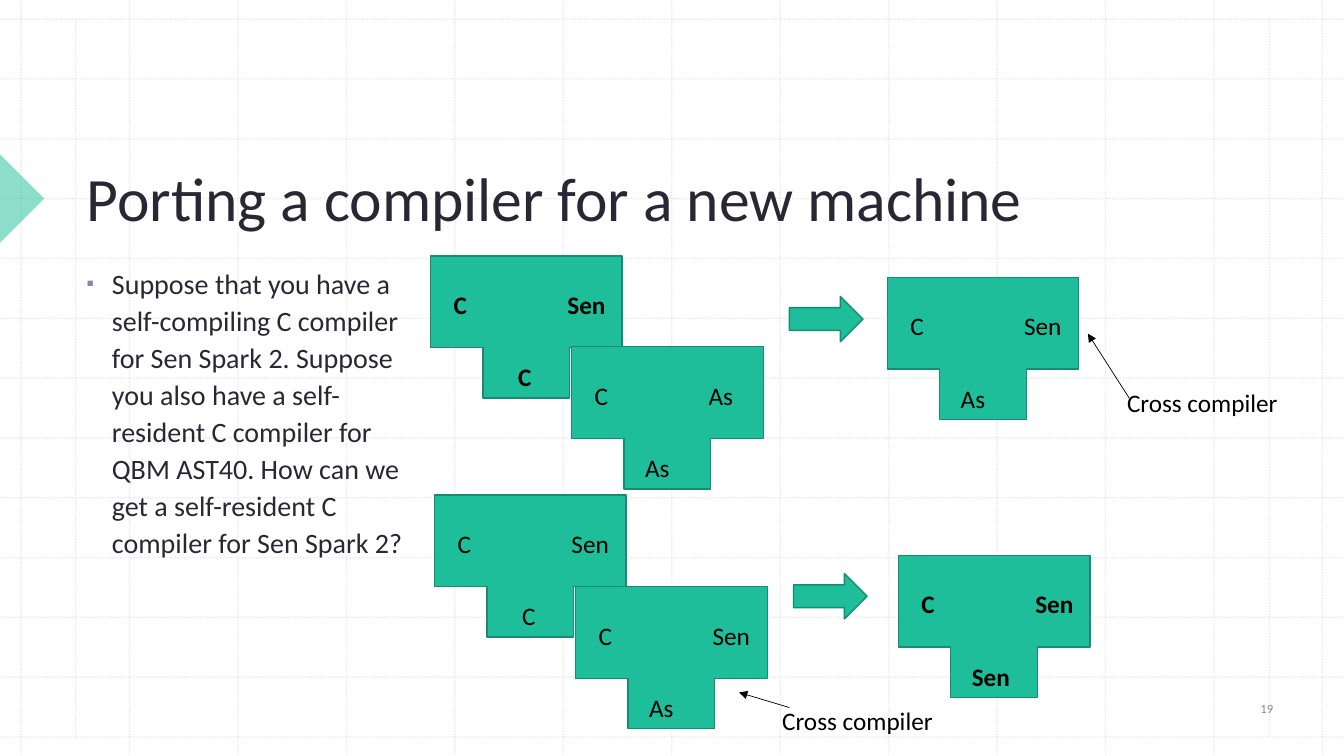
"""Build the slide on porting a compiler, with tombstone diagrams."""
from dataclasses import dataclass
from typing import Any

import lxml.etree
import pptx
import pptx.dml.color
import pptx.enum.dml
import pptx.enum.shapes
import pptx.enum.text
import pptx.oxml.ns
import pptx.util

Inches = pptx.util.Inches
Pt = pptx.util.Pt
SHAPE = pptx.enum.shapes.MSO_SHAPE
ALIGN = pptx.enum.text.PP_ALIGN
ANCHOR = pptx.enum.text.MSO_ANCHOR
AUTO = pptx.enum.text.MSO_AUTO_SIZE

GREEN, EDGE, INK, BLACK = "1EBE9B", "168D73", "2A2735", "000000"
LABEL_WIDTHS = {"C": 0.36, "As": 0.49, "Sen": 0.64}
PAIR_STEP = 1.4


@dataclass
class Tombstone:
    x: float
    y: float
    source: str
    target: str
    host: str
    bold: bool = False


@dataclass
class Callout:
    x: float
    y: float
    start: tuple[float, float]
    end: tuple[float, float]


TOMBSTONES = [
    Tombstone(4.27, 2.54, "C", "Sen", "C", True),
    Tombstone(4.27 + PAIR_STEP, 3.44, "C", "As", "As"),
    Tombstone(8.8, 2.75, "C", "Sen", "As"),
    Tombstone(4.31, 4.91, "C", "Sen", "C"),
    Tombstone(4.31 + PAIR_STEP, 5.82, "C", "Sen", "As"),
    Tombstone(8.91, 5.51, "C", "Sen", "Sen", True),
]
CALLOUTS = [
    Callout(11.08, 3.79, (11.2, 3.95), (10.79, 3.31)),
    Callout(7.66, 6.95, (7.83, 7.02), (7.33, 6.87)),
]
ARROWS = [(7.83, 2.94), (7.87, 5.69)]
T_OUTLINE = [(0, 0), (1.9, 0), (1.9, 0.91), (1.38, 0.91),
             (1.38, 1.41), (0.52, 1.41), (0.52, 0.91), (0, 0.91)]


def rgb(value: str) -> pptx.dml.color.RGBColor:
    return pptx.dml.color.RGBColor.from_string(value)


def assign(obj: Any, values: dict[str, Any]) -> None:
    for name, value in values.items():
        setattr(obj, name, value)


def child(parent: Any, tag: str, **attrs: str) -> None:
    lxml.etree.SubElement(parent, pptx.oxml.ns.qn(tag), attrs)


def set_alpha(sp: Any, percent: int) -> None:
    for clr in sp.element.spPr.iter(pptx.oxml.ns.qn("a:srgbClr")):
        child(clr, "a:alpha", val=str(percent * 1000))


def place(sp: Any, x: float, y: float, w: float, h: float) -> None:
    assign(sp, {"left": Inches(x), "top": Inches(y),
                "width": Inches(w), "height": Inches(h)})


def write(tf: Any, text: str, color: str, font: dict[str, Any], frame: dict[str, Any]) -> Any:
    assign(tf, frame)
    p = tf.paragraphs[0]
    r = p.add_run()
    r.text = text
    assign(r.font, {"name": "Calibri", **font})
    r.font.color.rgb = rgb(color)
    return p


def add_label(shapes: Any, text: str, x: float, y: float, w: float, bold: bool = False) -> None:
    sp = shapes.add_textbox(Inches(x), Inches(y), Inches(w), Inches(0.4))
    write(sp.text_frame, text, BLACK, {"size": Pt(18), "bold": bold},
          {"word_wrap": False, "auto_size": AUTO.SHAPE_TO_FIT_TEXT})


def add_line(shapes: Any, start: tuple[float, float], end: tuple[float, float],
             color: str, width: float) -> Any:
    sp = shapes.add_connector(pptx.enum.shapes.MSO_CONNECTOR.STRAIGHT,
                              *map(Inches, start + end))
    sp.line.color.rgb = rgb(color)
    sp.line.width = Pt(width)
    child(sp.element.spPr, "a:effectLst")
    return sp


def paint(sp: Any) -> None:
    sp.shadow.inherit = False
    sp.fill.solid()
    sp.fill.fore_color.rgb = rgb(GREEN)
    sp.line.color.rgb = rgb(EDGE)
    sp.line.width = Pt(1)


def add_grid(shapes: Any) -> None:
    columns = [(0.21 + 1.0755 * i, 0, 7.5) for i in range(13)]
    columns += [(x, 0.19, 7.31) for x in (0.75, 12.59)]
    ends = [((x, top), (x, bottom)) for x, top, bottom in columns]
    ends += [((0, y), (13.33, y)) for y in (0.19 + 0.5935 * i for i in range(13))]
    group = shapes.add_group_shape()
    for start, end in ends:
        sp = add_line(group.shapes, start, end, "BCBCBC", 1)
        sp.line.dash_style = pptx.enum.dml.MSO_LINE.ROUND_DOT
        set_alpha(sp, 30)


def add_marker(shapes: Any) -> None:
    sp = shapes.add_shape(SHAPE.RIGHT_TRIANGLE, 0, 0, 0, 0)
    place(sp, -0.31, 1.66, 0.62, 0.62)
    paint(sp)
    sp.rotation = 225
    sp.line.fill.background()
    set_alpha(sp, 50)


def add_tombstone(shapes: Any, t: Tombstone) -> None:
    group = shapes.add_group_shape().shapes
    points = [(Inches(t.x + dx), Inches(t.y + dy)) for dx, dy in T_OUTLINE]
    builder = group.build_freeform(*points[0])
    builder.add_line_segments(points[1:], close=True)
    paint(builder.convert_to_shape())
    host_dx = 0.77 if t.host == "C" else 0.63
    for text, dx, dy in ((t.source, 0.13, 0.28), (t.target, 1.26, 0.28), (t.host, host_dx, 1.0)):
        add_label(group, text, t.x + dx, t.y + dy, LABEL_WIDTHS[text], t.bold)


def add_callout(shapes: Any, c: Callout) -> None:
    sp = add_line(shapes, c.start, c.end, BLACK, 0.5)
    child(sp.element.spPr.get_or_add_ln(), "a:tailEnd", type="triangle")
    add_label(shapes, "Cross compiler", c.x, c.y, 1.93)


def fill_placeholders(s: Any) -> None:
    title, body = s.shapes.title, s.placeholders[1]
    for sp in (title, body):
        sp.element.getparent().append(sp.element)
    place(title, 0.76, 0.79, 11.29, 1.58)
    p = write(title.text_frame, "Porting a compiler for a new machine", INK, {"size": Pt(44)},
              {"vertical_anchor": ANCHOR.BOTTOM, "auto_size": AUTO.NONE, "word_wrap": True})
    p.alignment = ALIGN.LEFT
    place(body, 0.76, 2.56, 3.39, 3.9)
    p = write(body.text_frame,
              "Suppose that you have a self-compiling C compiler for Sen Spark 2. "
              "Suppose you also have a self-resident C compiler for QBM AST40. "
              "How can we get a self-resident C compiler for Sen Spark 2?",
              INK, {"size": Pt(20)}, {"auto_size": AUTO.NONE, "word_wrap": True})
    assign(p, {"line_spacing": 1.1, "space_before": Pt(10), "alignment": ALIGN.LEFT})
    pPr = p._p.get_or_add_pPr()
    pPr.set("marL", str(Inches(0.25)))
    pPr.set("indent", str(Inches(-0.25)))
    child(pPr, "a:buClr")
    child(pPr[-1], "a:srgbClr", val="8D87A6")
    child(pPr, "a:buSzPct", val="75000")
    child(pPr, "a:buFont", typeface="Calibri")
    child(pPr, "a:buChar", char="▪")


def main() -> None:
    prs = pptx.Presentation()
    assign(prs, {"slide_width": Inches(13.33), "slide_height": Inches(7.5)})
    s = prs.slides.add_slide(prs.slide_layouts[1])
    add_grid(s.shapes)
    add_marker(s.shapes)
    fill_placeholders(s)
    number = s.shapes.add_textbox(Inches(12.03), Inches(6.8), Inches(1.07), Inches(0.46))
    p = write(number.text_frame, "19", "8C8C8C", {"size": Pt(9)},
              {"vertical_anchor": ANCHOR.MIDDLE, "word_wrap": True})
    p.alignment = ALIGN.CENTER
    for t in TOMBSTONES:
        add_tombstone(s.shapes, t)
    for c in CALLOUTS:
        add_callout(s.shapes, c)
    for x, y in ARROWS:
        paint(s.shapes.add_shape(SHAPE.RIGHT_ARROW, *map(Inches, (x, y, 0.73, 0.45))))
    prs.save("out.pptx")


if __name__ == "__main__":
    main()
